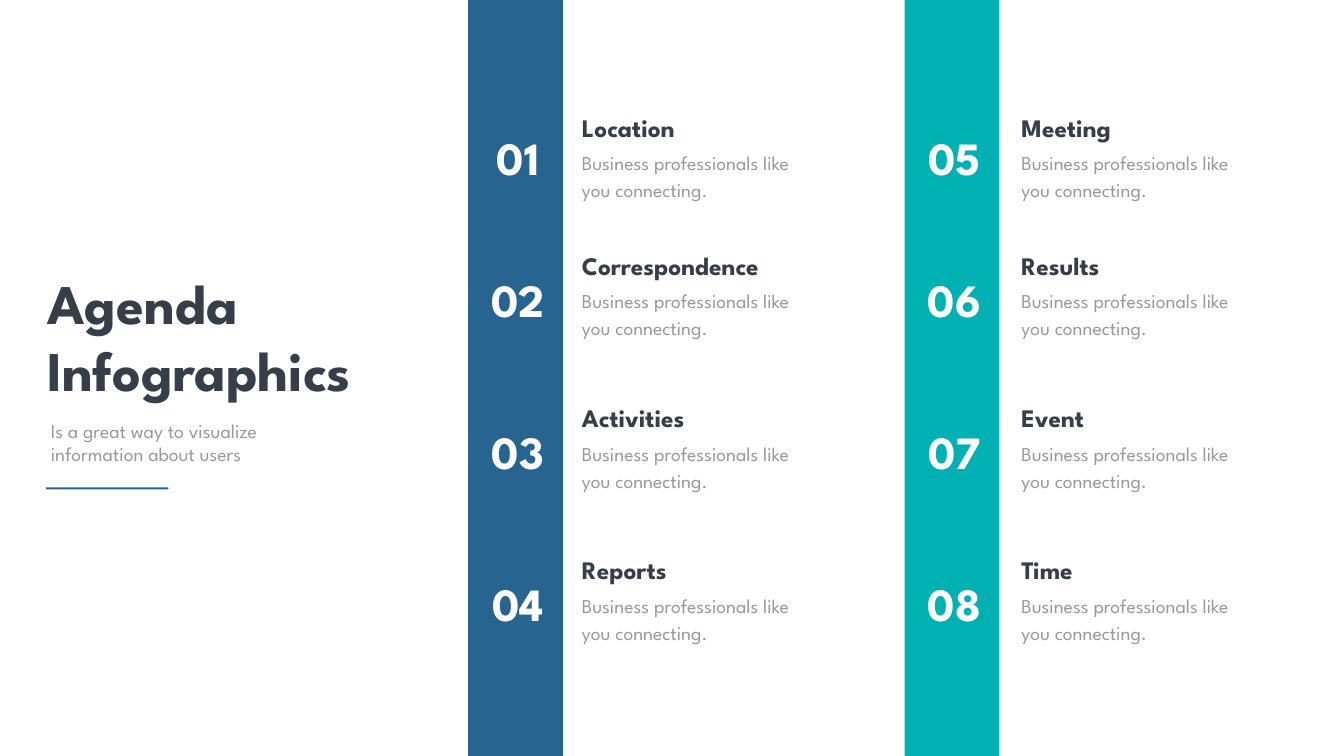
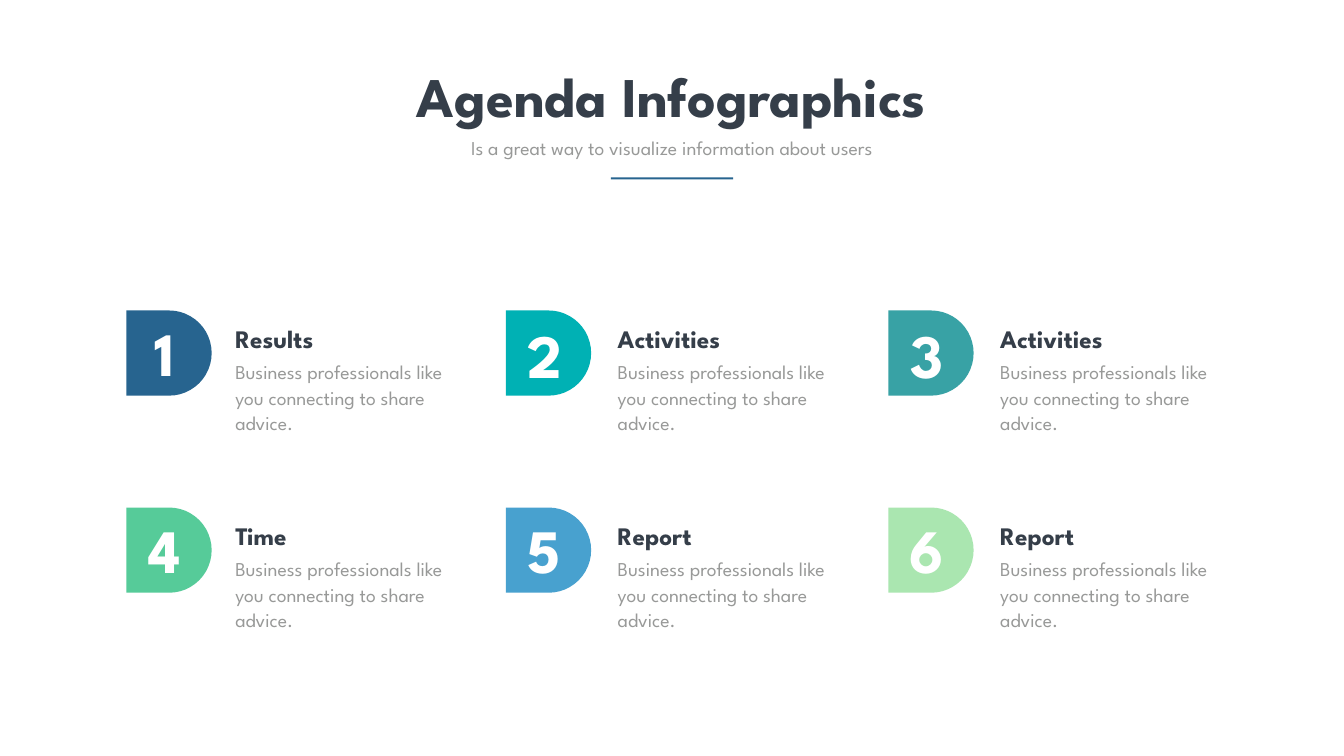
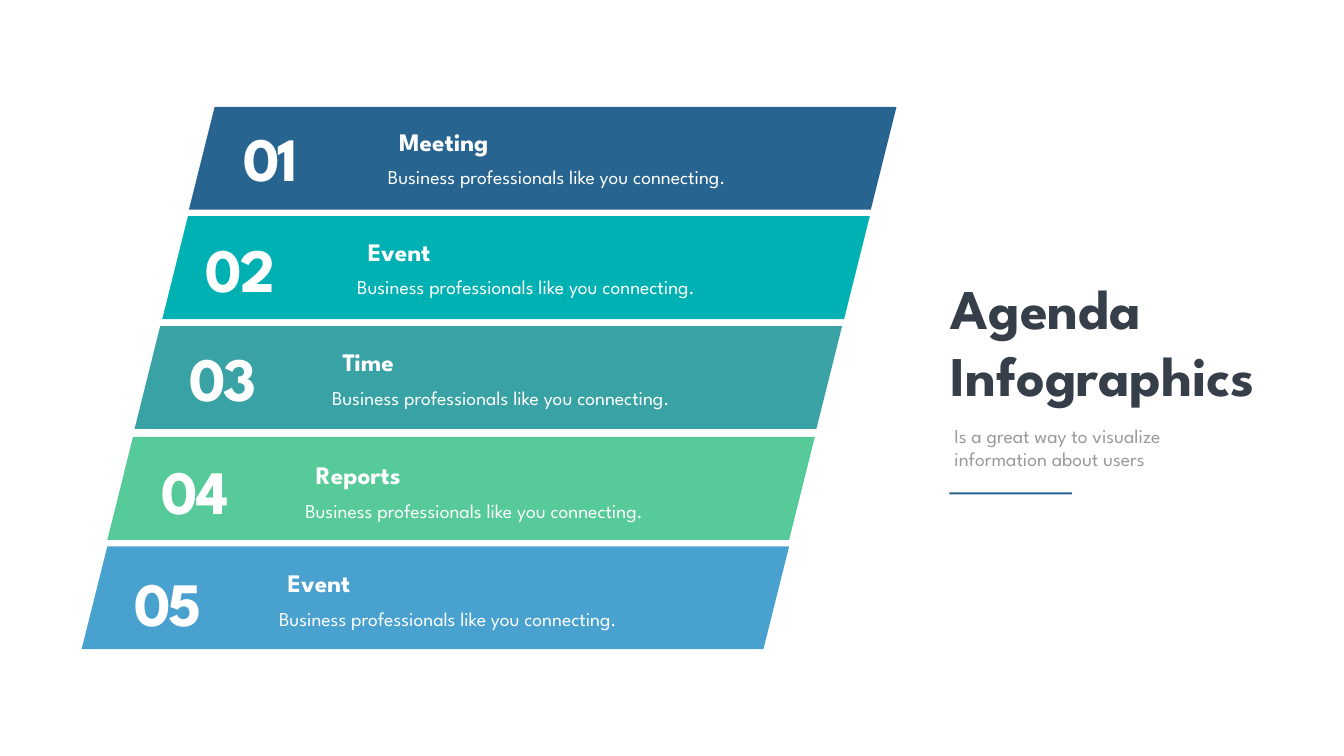
from dataclasses import dataclass

from pptx import Presentation
from pptx import util as u
from pptx.dml.color import RGBColor
from pptx.enum import shapes, text

PX = 9144
SLIDE_W, SLIDE_H = 2667, 1500
FONT = "League Spartan"
NAVY, TEAL, SEA = "27648F", "00B1B4", "38A2A5"
GREEN, SKY, MINT = "56CB99", "48A1CF", "AAE6B0"
INK, GREY, WHITE = "353E49", "989998", "FFFFFF"
LEFT, CENTER = text.PP_ALIGN.LEFT, text.PP_ALIGN.CENTER
SUBTITLE = "Is a great way to visualize information about users"
SHORT_BODY = "Business professionals like you connecting."
LONG_BODY = "Business professionals like you connecting to share advice."


@dataclass(frozen=True)
class Style:
    size: int
    color: str
    bold: bool = False
    align: int = LEFT
    leading: float | None = None
    spacing: int = 0
    wrap: bool = True


@dataclass(frozen=True)
class AgendaColumn:
    band_x: int
    text_x: int
    color: str
    first: int
    headings: tuple[str, ...]


@dataclass(frozen=True)
class Card:
    heading: str
    color: str
    number_drop: int = 4


@dataclass(frozen=True)
class Step:
    heading: str
    color: str
    band: tuple[int, int]
    number: tuple[int, int]
    head: tuple[int, int]
    body_x: int


TITLE = Style(80, INK, bold=True)
TITLE_CENTER = Style(80, INK, bold=True, align=CENTER, wrap=False)
SUB = Style(28, GREY)
SUB_CENTER = Style(28, GREY, align=CENTER)
HEADING = Style(36, INK, bold=True)
HEADING_LIGHT = Style(36, WHITE, bold=True)
BODY = Style(28, GREY, leading=38.6)
BODY_TIGHT = Style(28, GREY, leading=36.6)
BODY_LIGHT = Style(28, WHITE, leading=38.6)
NUMBER = Style(66, WHITE, bold=True, align=CENTER)
NUMBER_CARD = Style(88, WHITE, bold=True, align=CENTER, wrap=False)
NUMBER_STEP = Style(88, WHITE, bold=True, align=CENTER, spacing=-300)

AGENDA_ROWS = ((217, 252), (491, 533), (794, 834), (1095, 1137))
AGENDA_COLUMNS = (
    AgendaColumn(929, 1145, NAVY, 1, ("Location", "Correspondence", "Activities", "Reports")),
    AgendaColumn(1795, 2017, TEAL, 5, ("Meeting", "Results", "Event", "Time")),
)
CARD_X = (251, 1004, 1763)
CARDS = (
    Card("Results", NAVY),
    Card("Activities", TEAL, 7),
    Card("Activities", SEA, 7),
    Card("Time", GREEN),
    Card("Report", SKY),
    Card("Report", MINT),
)
STEPS = (
    Step("Meeting", NAVY, (375, 212), (416, 233), (782, 245), 760),
    Step("Event", TEAL, (322, 429), (357, 453), (720, 463), 699),
    Step("Time", SEA, (267, 647), (322, 669), (670, 682), 649),
    Step("Reports", GREEN, (213, 867), (267, 893), (617, 907), 596),
    Step("Event", SKY, (162, 1084), (213, 1116), (561, 1121), 544),
)


def rgb(color: str) -> RGBColor:
    return RGBColor.from_string(color)


def box(x: int, y: int, w: int, h: int) -> list[u.Emu]:
    return [u.Emu(v * PX) for v in (x, y, w, h)]


def add_block(parent, kind, x: int, y: int, w: int, h: int, color: str) -> None:
    sp = parent.add_shape(kind, *box(x, y, w, h))
    sp.shadow.inherit = False
    sp.fill.solid()
    sp.fill.fore_color.rgb = rgb(color)
    sp.line.fill.background()


def add_rect(parent, x: int, y: int, w: int, h: int, color: str) -> None:
    add_block(parent, shapes.MSO_SHAPE.RECTANGLE, x, y, w, h, color)


def add_text(parent, x: int, y: int, w: int, h: int, style: Style, *lines: str) -> None:
    tf = parent.add_textbox(*box(x, y, w, h)).text_frame
    tf.word_wrap = style.wrap
    tf.auto_size = text.MSO_AUTO_SIZE.SHAPE_TO_FIT_TEXT
    font = {"name": FONT, "size": u.Pt(style.size), "bold": style.bold}
    for i, line in enumerate(lines):
        p = tf.add_paragraph() if i else tf.paragraphs[0]
        p.alignment = style.align
        if style.leading:
            p.line_spacing = u.Pt(style.leading)
        r = p.add_run()
        r.text = line
        for name, value in font.items():
            setattr(r.font, name, value)
        r.font.color.rgb = rgb(style.color)
        if style.spacing:
            r._r.get_or_add_rPr().set("spc", str(style.spacing))


def add_side_title(s, x: int, y: int) -> None:
    group = s.shapes.add_group_shape().shapes
    add_text(group, x, y, 694, 279, TITLE, "Agenda", "Infographics")
    add_rect(group, x + 7, y + 439, 243, 4, NAVY)
    add_text(group, x + 7, y + 298, 523, 104, SUB, SUBTITLE)


def build_bands(s) -> None:
    for col in AGENDA_COLUMNS:
        add_rect(s.shapes, col.band_x, 0, 188, SLIDE_H, col.color)
        rows = zip(col.headings, AGENDA_ROWS)
        for n, (heading, (head_y, number_y)) in enumerate(rows, col.first):
            add_text(s.shapes, col.band_x - 30, number_y, 258, 121, NUMBER, f"{n:02}")
            add_text(s.shapes, col.text_x, head_y + 71, 489, 118, BODY, SHORT_BODY)
            add_text(s.shapes, col.text_x, head_y, 489, 71, HEADING, heading)
    add_side_title(s, 84, 528)


def build_cards(s) -> None:
    add_text(s.shapes, 747, 117, 1172, 145, TITLE_CENTER, "Agenda Infographics")
    add_text(s.shapes, 855, 265, 956, 57, SUB_CENTER, SUBTITLE)
    add_rect(s.shapes, 1212, 352, 243, 4, NAVY)
    group = s.shapes.add_group_shape().shapes
    for i, card in enumerate(CARDS):
        row, col = divmod(i, len(CARD_X))
        x, y = CARD_X[col], 616 + 391 * row
        text_x = 457 + 759 * col
        add_block(group, shapes.MSO_SHAPE.FLOWCHART_DELAY, x, y, 169, 169, card.color)
        add_text(group, text_x, y + 89, 452, 162, BODY_TIGHT, LONG_BODY)
        add_text(group, text_x, y + 21, 368, 71, HEADING, card.heading)
        add_text(group, x + 32, y + card.number_drop, 89, 158, NUMBER_CARD, str(i + 1))


def build_steps(s) -> None:
    group = s.shapes.add_group_shape().shapes
    for step in STEPS:
        add_block(group, shapes.MSO_SHAPE.PARALLELOGRAM, *step.band, 1404, 204, step.color)
    for n, step in enumerate(STEPS, 1):
        add_text(s.shapes, *step.number, 241, 158, NUMBER_STEP, f"{n:02}")
        add_text(s.shapes, step.body_x, step.head[1] + 71, 896, 60, BODY_LIGHT, SHORT_BODY)
        add_text(s.shapes, *step.head, 489, 71, HEADING_LIGHT, step.heading)
    add_side_title(s, 1877, 538)


def main() -> None:
    prs = Presentation()
    prs.slide_width, prs.slide_height = u.Emu(SLIDE_W * PX), u.Emu(SLIDE_H * PX)
    for build in (build_bands, build_cards, build_steps):
        build(prs.slides.add_slide(prs.slide_layouts[6]))
    prs.save("out.pptx")


if __name__ == "__main__":
    main()
